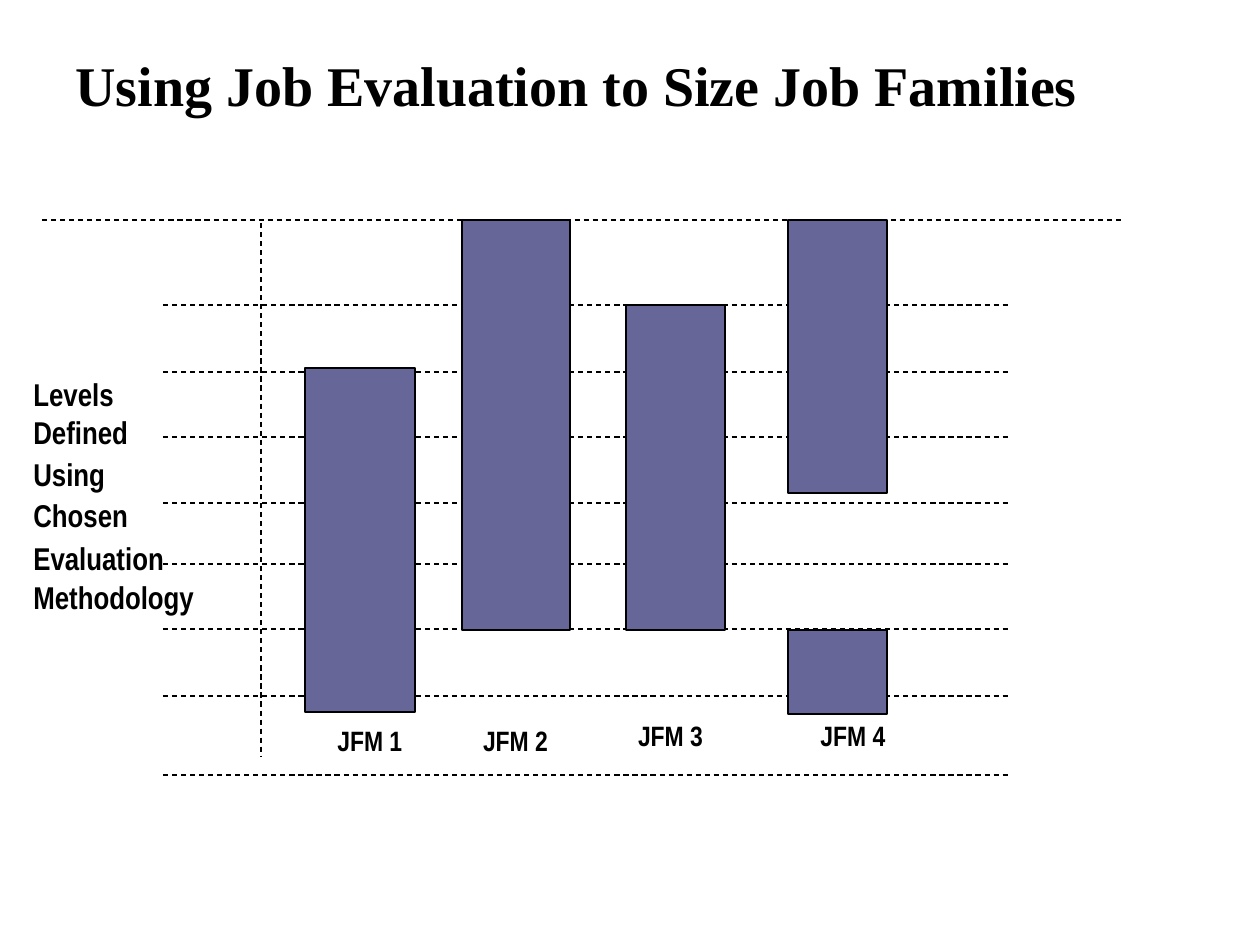
from lxml import etree
from pptx import Presentation
from pptx.dml.color import RGBColor
from pptx.enum.dml import MSO_LINE
from pptx.enum.shapes import MSO_CONNECTOR, MSO_SHAPE
from pptx.enum.text import MSO_ANCHOR, PP_ALIGN
from pptx.oxml.ns import qn
from pptx.util import Pt

DASH = MSO_LINE.DASH
STRAIGHT = MSO_CONNECTOR.STRAIGHT
RECTANGLE = MSO_SHAPE.RECTANGLE
TOP, MIDDLE = MSO_ANCHOR.TOP, MSO_ANCHOR.MIDDLE
LEFT, CENTER = PP_ALIGN.LEFT, PP_ALIGN.CENTER

SCALE = 914400 / 126
COLORS = {"ink": "000000", "bar": "666699"}
SERIF, NARROW = "Times New Roman", "Arial Narrow"

LEVEL_LINES = [141, 208, 273, 339, 400, 465, 532, 611]
BARS = [
    (263, 148, 110, 344),
    (420, 0, 108, 410),
    (584, 85, 99, 325),
    (746, 0, 99, 273),
]
LOWER_BAR = (746, 410, 99, 84)
FAMILIES = [
    ("JFM 1", 283, 504, 115, LEFT),
    ("JFM 2", 399, 504, 149, CENTER),
    ("JFM 3", 554, 499, 149, CENTER),
    ("JFM 4", 766, 499, 121, LEFT),
]
AXIS_WORDS = [
    ("Levels Defined", 1, 0, 1.1),
    ("Using", 1, 1.1, 1.1),
    ("Chosen", 1, 1.1, 1.1),
    ("Evaluation", 0.5, 11.2, 0),
    ("Methodology", 0.5, 11.2, 0),
]


def px(length):
    return round(length * SCALE)


def color(name):
    return RGBColor.from_string(COLORS[name])


def add_frame(slide, box, anchor=TOP):
    frame = slide.shapes.add_textbox(*map(px, box)).text_frame
    frame.word_wrap = True
    frame.vertical_anchor = anchor
    return frame


def write(paragraph, words, size, font, spacing, align=LEFT):
    paragraph.alignment = align
    paragraph.line_spacing = spacing
    run = paragraph.add_run()
    run.text = words
    run.font.name = font
    run.font.size = Pt(size)
    run.font.bold = True
    run.font.color.rgb = color("ink")


def add_dashed_line(slide, x1, y1, x2, y2):
    rule = slide.shapes.add_connector(STRAIGHT, *map(px, (x1, y1, x2, y2)))
    rule.line.color.rgb = color("ink")
    rule.line.width = Pt(0.75)
    rule.line.dash_style = DASH
    etree.SubElement(rule._element.spPr, qn("a:effectLst"))


def add_bar(slide, box):
    bar = slide.shapes.add_shape(RECTANGLE, *map(px, box))
    bar.shadow.inherit = False
    bar.fill.solid()
    bar.fill.fore_color.rgb = color("bar")
    bar.line.color.rgb = color("ink")
    bar.line.width = Pt(0.75)


def build_title(slide, box):
    frame = add_frame(slide, box, MIDDLE)
    write(frame.paragraphs[0], "Using Job Evaluation to Size Job Families", 32, SERIF, 0.87)


def build_axis_title(slide, box):
    frame = add_frame(slide, box)
    for index, (words, spacing, before, after) in enumerate(AXIS_WORDS):
        paragraph = frame.add_paragraph() if index else frame.paragraphs[0]
        write(paragraph, words, 18, NARROW, spacing)
        paragraph.space_before = Pt(before)
        paragraph.space_after = Pt(after)


def build_grid(slide, box):
    left, top, width, height = box
    add_dashed_line(slide, left + 219, top + 3, left + 219, top + height)
    for level in LEVEL_LINES[1:] + LEVEL_LINES[:1]:
        y = top + level - 56
        add_dashed_line(slide, left + 121, y, left + 969, y)


def build_families(slide, box):
    left, top, width, height = box
    for x, y, bar_width, bar_height in BARS:
        add_bar(slide, (left + x, top + y, bar_width, bar_height))
    for name, x, y, label_width, align in FAMILIES:
        frame = add_frame(slide, (left + x, top + y, label_width, 40))
        write(frame.paragraphs[0], name, 16, NARROW, 0.8, align)
    add_dashed_line(slide, left, top, left + width, top)
    x, y, bar_width, bar_height = LOWER_BAR
    add_bar(slide, (left + x, top + y, bar_width, bar_height))


def main():
    presentation = Presentation()
    presentation.slide_width = px(1260)
    presentation.slide_height = px(945)
    slide = presentation.slides.add_slide(presentation.slide_layouts[6])
    chart_box = (42, 220, 1082, 537)
    build_title(slide, (63, 10, 1071, 157))
    build_grid(slide, chart_box)
    build_axis_title(slide, (21, 369, 203, 250))
    build_families(slide, chart_box)
    presentation.save("out.pptx")


if __name__ == "__main__":
    main()
